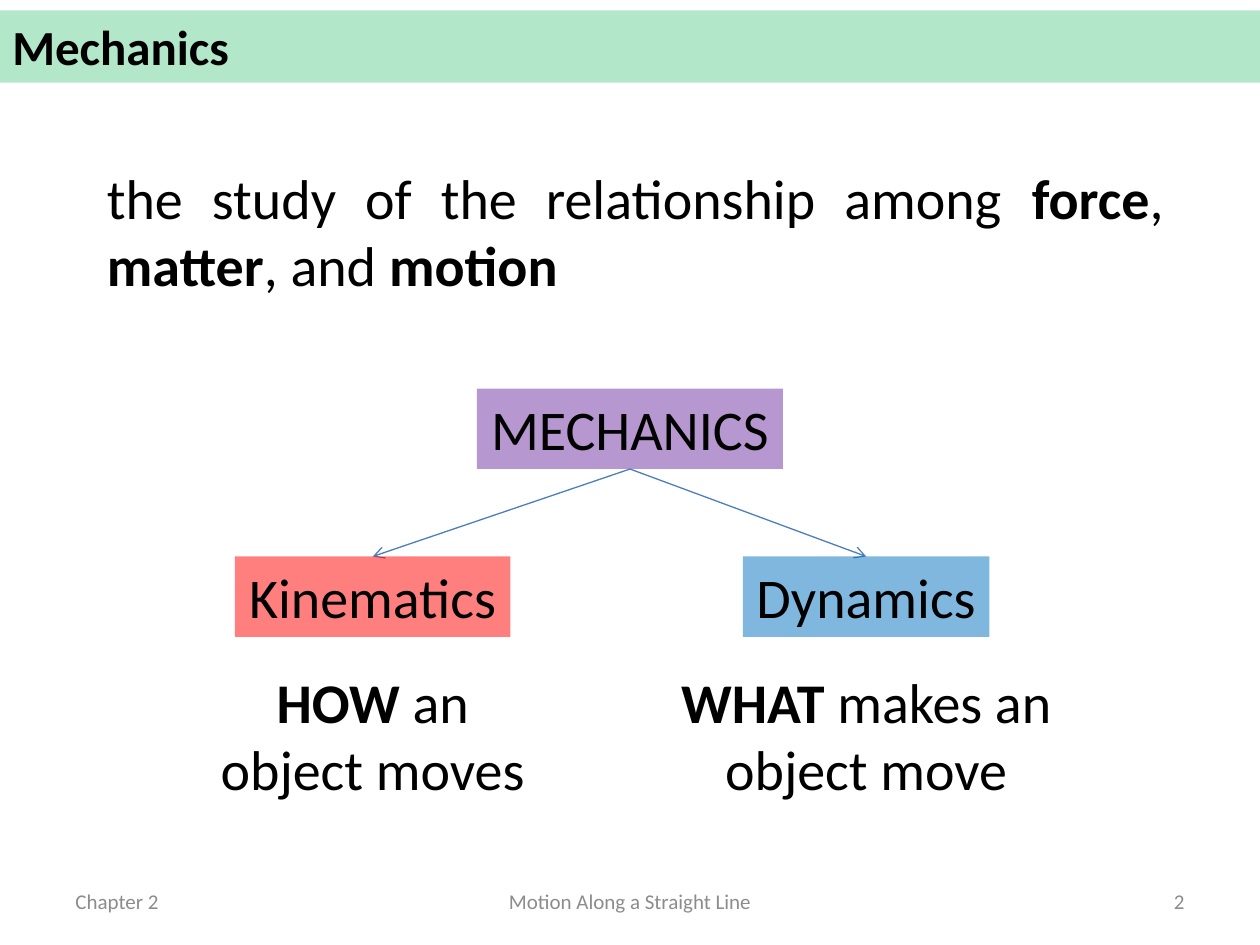
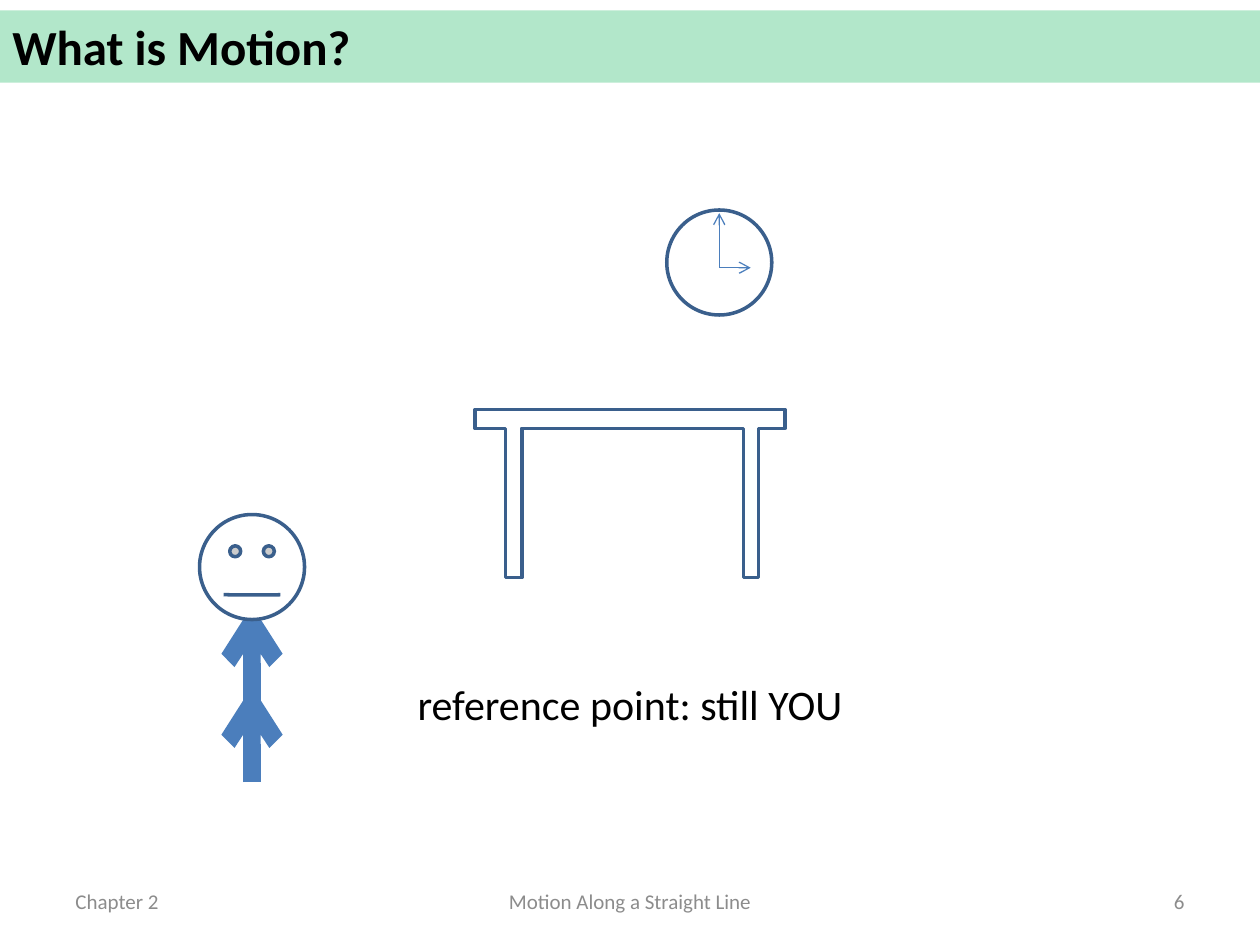
from dataclasses import dataclass
from typing import Optional

from lxml import etree
from pptx import Presentation
from pptx.dml.color import RGBColor
from pptx.enum.shapes import MSO_CONNECTOR, MSO_SHAPE
from pptx.enum.text import MSO_ANCHOR, PP_ALIGN
from pptx.oxml.ns import qn
from pptx.util import Inches, Pt

LEFT, CENTER, RIGHT, JUSTIFY = PP_ALIGN.LEFT, PP_ALIGN.CENTER, PP_ALIGN.RIGHT, PP_ALIGN.JUSTIFY
TOP, MIDDLE = MSO_ANCHOR.TOP, MSO_ANCHOR.MIDDLE
STRAIGHT = MSO_CONNECTOR.STRAIGHT
OVAL, SMILEY = MSO_SHAPE.OVAL, MSO_SHAPE.SMILEY_FACE

BLACK = RGBColor(0x00, 0x00, 0x00)
WHITE = RGBColor(0xFF, 0xFF, 0xFF)
GREY = RGBColor(0x8C, 0x8C, 0x8C)
GREEN = RGBColor(0x00, 0xB0, 0x50)
PURPLE = RGBColor(0x70, 0x30, 0xA0)
RED = RGBColor(0xFF, 0x00, 0x00)
BLUE = RGBColor(0x00, 0x70, 0xC0)
ARROW = RGBColor(0x4B, 0x7E, 0xBC)
OUTLINE = RGBColor(0x3A, 0x5F, 0x8C)

FONT = "Calibri"
COLS, ROWS = 120, 90  # grid cells of 1/12 inch
CELL = Inches(10) // COLS
MID = COLS / 2


@dataclass
class Box:
    """Place on the grid, in columns and rows."""
    x: float
    y: float
    w: float
    h: float


@dataclass
class Branch:
    name: str
    color: RGBColor
    center: float
    width: float
    text_width: float
    runs: list


def grid(n: float) -> int:
    return round(n * CELL)


def place(box: Box) -> list:
    return [grid(n) for n in (box.x, box.y, box.w, box.h)]


def centered(cx: float, y: float, w: float, h: float) -> Box:
    return Box(cx - w / 2, y, w, h)


def add_text(s, box: Box, runs: list, size: float, align=CENTER, color=BLACK,
             anchor=TOP, wrap: bool = True, fill: Optional[RGBColor] = None,
             alpha: int = 100) -> None:
    """Add one paragraph of (text, bold) runs, on a tinted fill if one is given."""
    sp = s.shapes.add_textbox(*place(box))
    if fill is not None:
        sp.fill.solid()
        sp.fill.fore_color.rgb = fill
        clr = sp.fill._xPr.find(".//" + qn("a:srgbClr"))
        etree.SubElement(clr, qn("a:alpha")).set("val", str(alpha * 1000))
    tf = sp.text_frame
    tf.word_wrap, tf.vertical_anchor = wrap, anchor
    p = tf.paragraphs[0]
    p.alignment = align
    p.font.name, p.font.size, p.font.color.rgb = FONT, Pt(size), color
    for text, bold in runs:
        r = p.add_run()
        r.text, r.font.bold = text, bold


def add_arrow(s, x1: float, y1: float, x2: float, y2: float, width: float = 0.75) -> None:
    line = s.shapes.add_connector(STRAIGHT, *[grid(n) for n in (x1, y1, x2, y2)])
    line.line.color.rgb, line.line.width = ARROW, Pt(width)
    etree.SubElement(line.line._get_or_add_ln(), qn("a:tailEnd")).set("type", "arrow")
    etree.SubElement(line._element.spPr, qn("a:effectLst"))


def outline(sp, fill: Optional[RGBColor] = None) -> None:
    sp.shadow.inherit = False
    sp.line.color.rgb, sp.line.width = OUTLINE, Pt(2)
    if fill is None:
        sp.fill.background()
    else:
        sp.fill.solid()
        sp.fill.fore_color.rgb = fill


def add_slide(prs, title: str, number: int):
    """Blank slide with the title band and the three footers."""
    s = prs.slides.add_slide(prs.slide_layouts[6])
    add_text(s, Box(0, 1, COLS, 6.87), [(title, True)], 28, JUSTIFY, fill=GREEN, alpha=30)
    for text, x, w, align in (("Chapter 2", 6, 28, LEFT),
                              ("Motion Along a Straight Line", 41, 38, CENTER),
                              (str(number), 86, 28, RIGHT)):
        add_text(s, Box(x, 83.4, w, 4.8), [(text, False)], 12, align, GREY, MIDDLE)
    return s


def add_label(s, text: str, cx: float, y: float, w: float, color: RGBColor) -> None:
    add_text(s, centered(cx, y, w, LABEL_H), [(text, False)], 32,
             wrap=False, fill=color, alpha=50)


def add_clock(s, cx: float, cy: float) -> None:
    outline(s.shapes.add_shape(OVAL, *place(centered(cx, cy - 5, 10, 10))))
    pivot = cy + 0.5
    add_arrow(s, cx, pivot, cx, pivot - 5.2)
    add_arrow(s, cx, pivot, cx + 3, pivot)


def add_table_drawing(s) -> None:
    left, right, top, under, floor = 45.25, 74.75, 39, 40.8, 55
    points = [(left, top), (left, under)]
    for x1, x2 in ((48.15, 49.7), (70.8, 72.25)):  # legs
        points += [(x1, under), (x1, floor), (x2, floor), (x2, under)]
    points += [(right, under), (right, top)]
    start, *rest = [(grid(x), grid(y)) for x, y in points]
    path = s.shapes.build_freeform(*start)
    path.add_line_segments(rest, close=True)
    outline(path.convert_to_shape())


def add_person(s, cx: float, y: float) -> None:
    # Thick arrows make the arms and the legs
    add_arrow(s, cx, y + 18.1, cx, y + 8.7, 10)
    add_arrow(s, cx, y + 25.5, cx, y + 16.4, 10)
    head = s.shapes.add_shape(SMILEY, *place(centered(cx, y, 10, 10)))
    head.adjustments[0] = 0.001
    outline(head, WHITE)


prs = Presentation()
prs.slide_width, prs.slide_height = COLS * CELL, ROWS * CELL

# Mechanics: definition and its two branches
LABEL_H = 7.67
ROOT_Y, BRANCH_Y, MEANING_Y = 37, 53, 63
BRANCHES = [
    Branch("Kinematics", RED, 35.5, 26.25, 35,
           [("HOW", True), (" an object moves", False)]),
    Branch("Dynamics", BLUE, 82.5, 23.5, 39,
           [("WHAT", True), (" makes an object move", False)]),
]
s = add_slide(prs, "Mechanics", 2)
add_text(s, Box(9, 15, 103, 14.15),
         [("the study of the relationship among ", False), ("force", True), (", ", False),
          ("matter", True), (", and ", False), ("motion", True)], 32, JUSTIFY)
add_label(s, "MECHANICS", MID, ROOT_Y, 29.15, PURPLE)
for b in BRANCHES:
    add_arrow(s, MID, ROOT_Y + LABEL_H, b.center, BRANCH_Y)
    add_label(s, b.name, b.center, BRANCH_Y, b.width, b.color)
    add_text(s, centered(b.center, MEANING_Y, b.text_width, 14.15), b.runs, 32)

# What is Motion?: an observer, a table and a clock
s = add_slide(prs, "What is Motion?", 6)
add_table_drawing(s)
add_clock(s, 68.5, 25)
add_person(s, 24, 49)
add_text(s, centered(MID, 64, 46, 6), [("reference point: still YOU", False)], 24)

prs.save("out.pptx")
